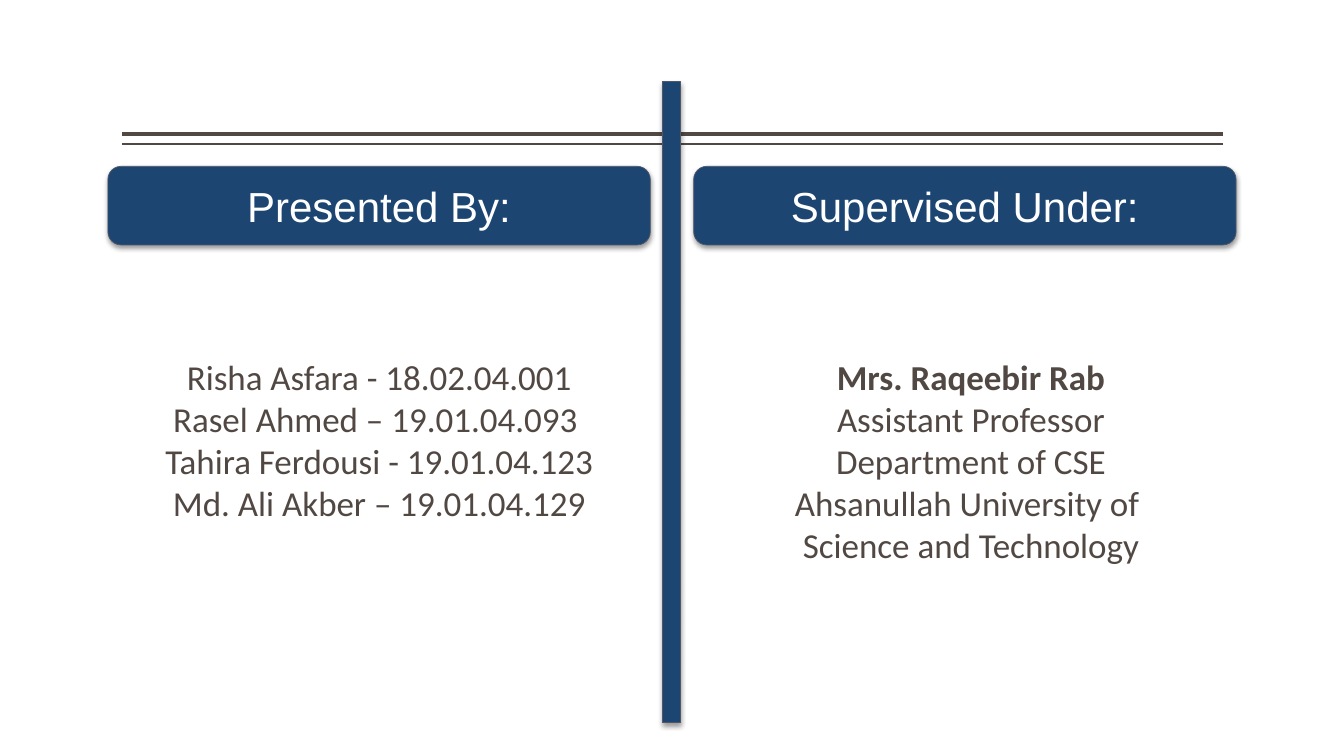
from dataclasses import dataclass

from lxml.etree import SubElement
from pptx import Presentation
from pptx.dml.color import RGBColor
from pptx.enum.shapes import MSO_CONNECTOR, MSO_SHAPE
from pptx.enum.text import MSO_ANCHOR, PP_ALIGN
from pptx.oxml.ns import qn
from pptx.util import Inches, Pt


@dataclass(frozen=True)
class Theme:
    navy: RGBColor = RGBColor(0x1D, 0x45, 0x71)
    outline: RGBColor = RGBColor(0x50, 0x58, 0x68)
    ink: RGBColor = RGBColor(0x51, 0x48, 0x43)
    white: RGBColor = RGBColor(0xFF, 0xFF, 0xFF)
    heading_font: str = "Arial"
    body_font: str = "Calibri"
    heading_size: Pt = Pt(30)
    body_size: Pt = Pt(25)


@dataclass(frozen=True)
class Frame:
    left: float
    top: float
    width: float
    height: float

    def lengths(self) -> list:
        return [Inches(n) for n in (self.left, self.top, self.width, self.height)]


@dataclass(frozen=True)
class Column:
    heading: str
    heading_left: float
    body: Frame
    lines: tuple
    bold_first: bool = False


THEME = Theme()
HEADING_TOP, HEADING_WIDTH, HEADING_HEIGHT = 1.65, 5.38, 0.78
RULE_LEFT, RULE_RIGHT = 1.21, 12.13
RULES = ((1.33, 3), (1.43, 1))  # top in inches, weight in points
DIVIDER = Frame(6.57, 0.81, 0.18, 6.36)
COLUMNS = (
    Column("Presented By:", 1.07, Frame(1.07, 3.48, 5.38, 2.09),
           ("Risha Asfara - 18.02.04.001", "Rasel Ahmed – 19.01.04.093 ",
            "Tahira Ferdousi - 19.01.04.123", "Md. Ali Akber – 19.01.04.129")),
    Column("Supervised Under:", 6.88, Frame(6.75, 3.48, 5.76, 2.51),
           ("Mrs. Raqeebir Rab", "Assistant Professor", "Department of CSE",
            "Ahsanullah University of ", "Science and Technology"), True),
)


def add_rule(page, top: float, weight: float) -> None:
    rule = page.shapes.add_connector(
        MSO_CONNECTOR.STRAIGHT, Inches(RULE_RIGHT), Inches(top), Inches(RULE_LEFT), Inches(top))
    rule.line.color.rgb = THEME.ink
    rule.line.width = Pt(weight)
    SubElement(rule._element.spPr, qn("a:effectLst"))


def add_panel(page, kind: MSO_SHAPE, frame: Frame):
    """Add a navy shape with a soft shadow below it."""
    panel = page.shapes.add_shape(kind, *frame.lengths())
    panel.fill.solid()
    panel.fill.fore_color.rgb = THEME.navy
    panel.line.color.rgb = THEME.outline
    panel.line.width = Pt(0.5)
    panel.shadow.inherit = False
    effects = panel._element.spPr.find(qn("a:effectLst"))
    shadow = SubElement(effects, qn("a:outerShdw"), blurRad=str(Pt(3.5)), dist=str(Pt(2)),
                        dir="5400000", rotWithShape="0")
    tint = SubElement(shadow, qn("a:srgbClr"), val="000000")
    SubElement(tint, qn("a:alpha"), val="38000")
    return panel


def write_line(para, text: str, color: RGBColor, **font_values) -> None:
    para.alignment = PP_ALIGN.CENTER
    span = para.add_run()
    span.text = text
    span.font.color.rgb = color
    for name, value in font_values.items():
        setattr(span.font, name, value)


def add_column(page, column: Column) -> None:
    # Heading
    panel = add_panel(page, MSO_SHAPE.ROUNDED_RECTANGLE,
                      Frame(column.heading_left, HEADING_TOP, HEADING_WIDTH, HEADING_HEIGHT))
    panel.text_frame.vertical_anchor = MSO_ANCHOR.MIDDLE
    write_line(panel.text_frame.paragraphs[0], column.heading, THEME.white,
               name=THEME.heading_font, size=THEME.heading_size)
    # Names and details
    box = page.shapes.add_textbox(*column.body.lengths())
    box.text_frame.word_wrap = True
    for index, text in enumerate(column.lines):
        para = box.text_frame.add_paragraph() if index else box.text_frame.paragraphs[0]
        write_line(para, text, THEME.ink, name=THEME.body_font, size=THEME.body_size,
                   bold=column.bold_first and index == 0)


deck = Presentation()
deck.slide_width, deck.slide_height = Inches(13.33), Inches(7.5)
page = deck.slides.add_slide(deck.slide_layouts[6])

# Double rule across the top
for rule_top, rule_weight in RULES:
    add_rule(page, rule_top, rule_weight)

# Two columns with the divider between them
for column in COLUMNS:
    add_column(page, column)
add_panel(page, MSO_SHAPE.RECTANGLE, DIVIDER)

deck.save("out.pptx")
